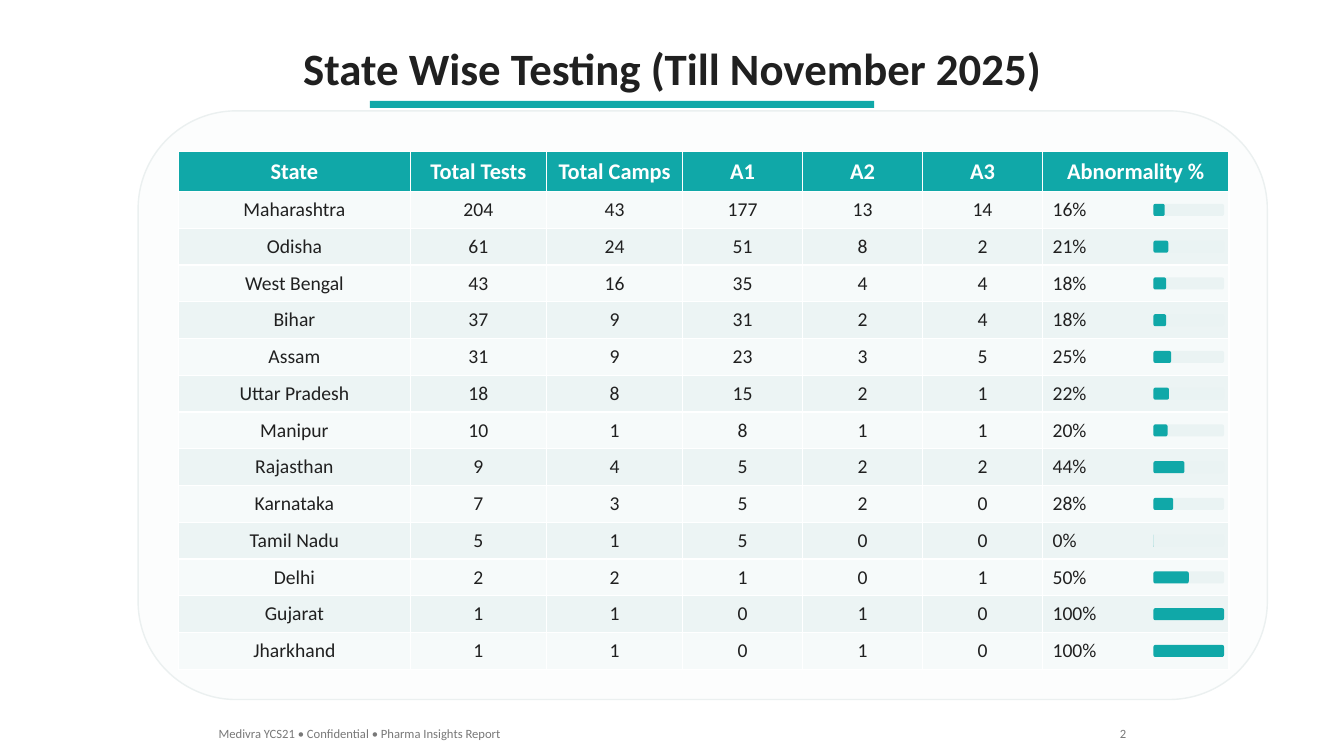
from pptx import Presentation
from pptx.dml.color import RGBColor
from pptx.enum.shapes import MSO_SHAPE
from pptx.enum.text import MSO_ANCHOR, MSO_AUTO_SIZE, PP_ALIGN
from pptx.util import Inches, Pt

WHITE = RGBColor(0xFF, 0xFF, 0xFF)
INK = RGBColor(0x20, 0x20, 0x20)
GREY = RGBColor(0x78, 0x78, 0x78)
TEAL = RGBColor(0x10, 0xA8, 0xA8)
TRACK = RGBColor(0xEA, 0xF3, 0xF3)
PANEL = RGBColor(0xFC, 0xFD, 0xFD)
PANEL_EDGE = RGBColor(0xEB, 0xF0, 0xF0)
ROW_FILLS = (RGBColor(0xF6, 0xFA, 0xFA), RGBColor(0xEC, 0xF4, 0xF4))

HEADINGS = ("State", "Total Tests", "Total Camps", "A1", "A2", "A3", "Abnormality %")
COLUMN_WIDTHS = (2.3, 1.35, 1.35, 1.19, 1.19, 1.19, 1.85)
STATES = (
    ("Maharashtra", 204, 43, 177, 13, 14, 16),
    ("Odisha", 61, 24, 51, 8, 2, 21),
    ("West Bengal", 43, 16, 35, 4, 4, 18),
    ("Bihar", 37, 9, 31, 2, 4, 18),
    ("Assam", 31, 9, 23, 3, 5, 25),
    ("Uttar Pradesh", 18, 8, 15, 2, 1, 22),
    ("Manipur", 10, 1, 8, 1, 1, 20),
    ("Rajasthan", 9, 4, 5, 2, 2, 44),
    ("Karnataka", 7, 3, 5, 2, 0, 28),
    ("Tamil Nadu", 5, 1, 5, 0, 0, 0),
    ("Delhi", 2, 2, 1, 0, 1, 50),
    ("Gujarat", 1, 1, 0, 1, 0, 100),
    ("Jharkhand", 1, 1, 0, 1, 0, 100),
)
HEADER_HEIGHT = 0.4


def write(frame, text, size, color, bold=False, align=PP_ALIGN.LEFT):
    para = frame.paragraphs[0]
    para.alignment = align
    span = para.add_run()
    span.text = text
    span.font.name = "Calibri"
    span.font.size = Pt(size)
    span.font.bold = bold
    span.font.color.rgb = color


def add_label(slide, left, top, width, height, text, **style):
    box = slide.shapes.add_textbox(Inches(left), Inches(top), Inches(width), Inches(height))
    box.text_frame.word_wrap = False
    box.text_frame.auto_size = MSO_AUTO_SIZE.SHAPE_TO_FIT_TEXT
    write(box.text_frame, text, **style)


def add_block(slide, kind, left, top, width, height, fill, edge=None):
    block = slide.shapes.add_shape(kind, Inches(left), Inches(top), Inches(width), Inches(height))
    block.shadow.inherit = False
    block.fill.solid()
    block.fill.fore_color.rgb = fill
    if edge is None:
        block.line.fill.background()
    else:
        block.line.color.rgb = edge
        block.line.width = Pt(1)


def add_heading(slide, left, top, width):
    add_label(slide, left, top, width, 0.64, "State Wise Testing (Till November 2025)",
              size=32, color=INK, bold=True, align=PP_ALIGN.CENTER)
    add_block(slide, MSO_SHAPE.RECTANGLE, left + 0.8, top + 0.65, 5, 0.07, TEAL)


def fill_cell(cell, text, fill, **style):
    cell.fill.solid()
    cell.fill.fore_color.rgb = fill
    cell.vertical_anchor = MSO_ANCHOR.MIDDLE
    write(cell.text_frame, text, **style)


def add_state_table(slide, left, top, height):
    row_height = (height - HEADER_HEIGHT) / len(STATES)
    width = sum(COLUMN_WIDTHS)
    table = slide.shapes.add_table(len(STATES) + 1, len(HEADINGS), Inches(left), Inches(top),
                                   Inches(width), Inches(height)).table
    for column, column_width in zip(table.columns, COLUMN_WIDTHS):
        column.width = Inches(column_width)
    for index, row in enumerate(table.rows):
        row.height = Inches(row_height if index else HEADER_HEIGHT)
    for cell, heading in zip(table.rows[0].cells, HEADINGS):
        fill_cell(cell, heading, TEAL, size=16, color=WHITE, bold=True, align=PP_ALIGN.CENTER)
    for index, (*values, percent) in enumerate(STATES):
        cells = list(table.rows[index + 1].cells)
        fill = ROW_FILLS[index % 2]
        for cell, value in zip(cells, values):
            fill_cell(cell, str(value), fill, size=14, color=INK, align=PP_ALIGN.CENTER)
        fill_cell(cells[-1], f"{percent}%", fill, size=14, color=INK)
        middle = top + HEADER_HEIGHT + (index + 0.5) * row_height
        add_progress_bar(slide, left + width - 0.75, middle, percent)


def add_progress_bar(slide, left, middle, percent, width=0.7, height=0.12):
    top = middle - height / 2
    if percent < 100:
        add_block(slide, MSO_SHAPE.ROUNDED_RECTANGLE, left, top, width, height, TRACK)
    add_block(slide, MSO_SHAPE.ROUNDED_RECTANGLE, left, top, width * percent / 100, height, TEAL)


def add_panel(slide, left, top, width, height):
    add_block(slide, MSO_SHAPE.ROUNDED_RECTANGLE, left, top, width, height, PANEL, PANEL_EDGE)
    add_state_table(slide, left + 0.4, top + 0.4, height - 0.7)


def add_footer(slide, left, top):
    add_label(slide, left, top, 3.05, 0.25,
              "Medivra YCS21 • Confidential • Pharma Insights Report", size=9, color=GREY)
    add_label(slide, left + 8.93, top, 0.27, 0.25, "2", size=9, color=GREY, align=PP_ALIGN.RIGHT)


def main():
    deck = Presentation()
    deck.slide_width, deck.slide_height = Inches(13.33), Inches(7.5)
    page = deck.slides.add_slide(deck.slide_layouts[6])
    add_heading(page, 2.87, 0.35, 7.6)
    add_panel(page, 1.37, 1.1, 11.2, 5.84)
    add_footer(page, 2.07, 7.15)
    deck.save("out.pptx")


if __name__ == "__main__":
    main()
